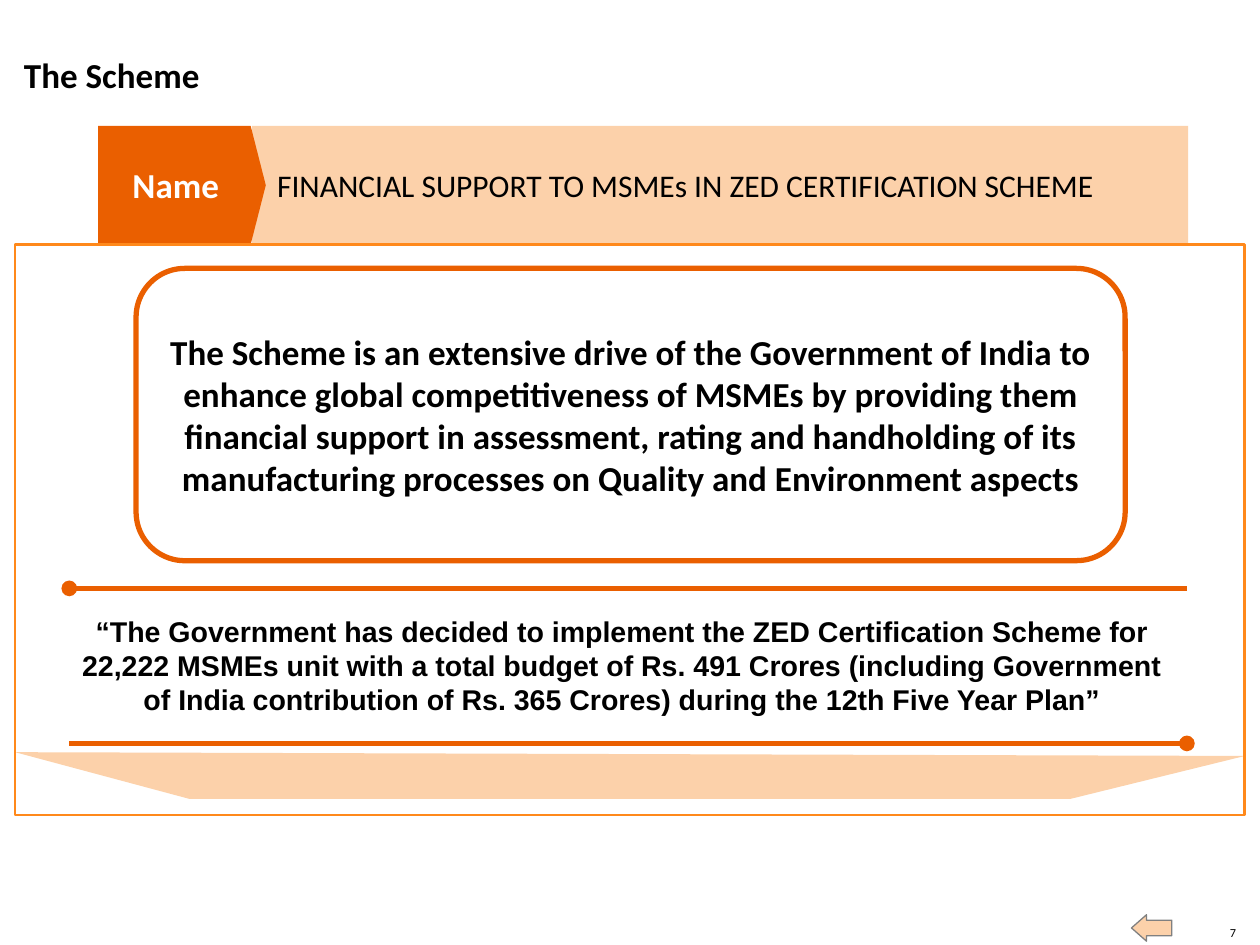
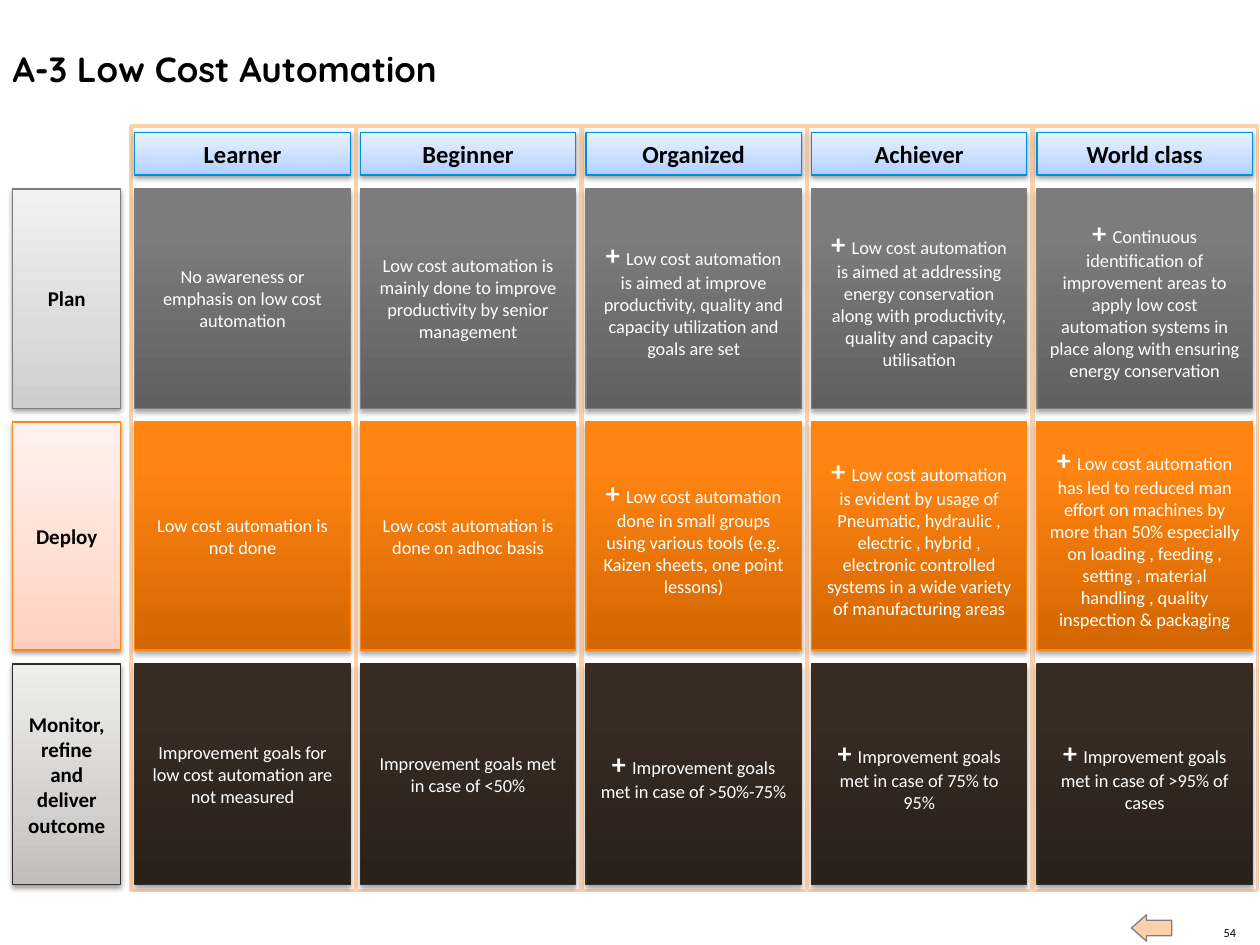
from copy import deepcopy
from dataclasses import dataclass

from lxml.etree import SubElement
from pptx import Presentation
from pptx.dml.color import RGBColor
from pptx.enum.shapes import MSO_CONNECTOR, MSO_SHAPE
from pptx.enum.text import MSO_ANCHOR, MSO_AUTO_SIZE, PP_ALIGN
from pptx.oxml.ns import qn
from pptx.util import Inches, Pt


@dataclass(frozen=True)
class Theme:
    # Colours
    black: str = "000000"
    white: str = "FFFFFF"
    peach: str = "FCD1AA"
    orange: str = "EA5F00"
    frame: str = "FF891B"
    grey: str = "808080"
    level_line: str = "008FDC"
    level_fill: tuple = ((0, "AECFFF"), (35, "C6DDFF"), (100, "E9F2FF"))
    # Fonts and sizes
    font: str = "Calibri"
    quote_font: str = "Arial"
    topic_font: str = "Quicksand"
    title: float = 20
    banner: float = 18
    quote: float = 16.3
    plus: float = 16
    level: float = 14
    stage: float = 12
    cell: float = 10.5
    number: float = 7


THEME = Theme()


@dataclass(frozen=True)
class Stage:
    name: str
    height: float
    line: str
    label_fill: tuple
    cell_fill: tuple
    cells: tuple


LEVELS = ("Learner", "Beginner", "Organized", "Achiever", "World class")

STAGES = (
    Stage("Plan", 1.74, "7D7D7D",
          ((0, "CDCDCD"), (35, "DBDBDB"), (100, "F1F1F1")),
          ((0, "606060"), (80, "7C7C7C"), (100, "7D7D7D")),
          ("No awareness or emphasis on low cost automation",
           "Low cost automation is mainly done to improve productivity by "
           "senior management",
           "+ Low cost automation is aimed at improve productivity, quality "
           "and capacity utilization and goals are set",
           "+ Low cost automation is aimed at addressing energy conservation "
           "along with productivity, quality and capacity utilisation",
           "+ Continuous identification of improvement areas to apply low cost "
           "automation systems in place along with ensuring energy conservation")),
    Stage("Deploy", 1.81, "FF8615",
          ((0, "FFCFBD"), (35, "FFDDD1"), (100, "FFF2EE")),
          ((0, "D26600"), (80, "FF8412"), (100, "FF8514")),
          ("Low cost automation is not done",
           "Low cost automation is done on adhoc basis",
           "+ Low cost automation done in small groups using various tools "
           "(e.g. Kaizen sheets, one point lessons)",
           "+ Low cost automation is evident by usage of Pneumatic, hydraulic , "
           "electric , hybrid , electronic controlled systems in a wide variety "
           "of manufacturing areas",
           "+ Low cost automation has led to reduced man effort on machines by "
           "more than 50% especially on loading , feeding , setting , material "
           "handling , quality inspection & packaging")),
    Stage("Monitor, refine and deliver outcome", 1.75, "352C25",
          ((0, "C0BEBC"), (35, "D3D1D0"), (100, "EEEEED")),
          ((0, "2A211B"), (80, "372B22"), (100, "372B22")),
          ("Improvement goals for low cost automation are not measured",
           "Improvement goals met in case of <50%",
           "+ Improvement goals met in case of >50%-75%",
           "+ Improvement goals met in case of 75% to 95%",
           "+ Improvement goals met in case of >95% of cases")),
)


def rgb(value):
    return RGBColor.from_string(value)


def style_run(run, size, color, bold=False, font=THEME.font):
    run.font.name = font
    run.font.size = Pt(size)
    run.font.bold = bold
    run.font.color.rgb = rgb(color)


def write(shape, text, size, color=THEME.black, bold=False, font=THEME.font,
          align=PP_ALIGN.CENTER, anchor=MSO_ANCHOR.MIDDLE, margins=None, wrap=True):
    """Put one paragraph in a shape; a leading plus sign is set larger."""
    frame = shape.text_frame
    frame.auto_size = MSO_AUTO_SIZE.NONE
    frame.word_wrap = wrap
    frame.vertical_anchor = anchor
    if margins:
        (frame.margin_left, frame.margin_top,
         frame.margin_right, frame.margin_bottom) = map(Inches, margins)
    paragraph = frame.paragraphs[0]
    paragraph.alignment = align
    if text.startswith("+ "):
        plus = paragraph.add_run()
        plus.text = "+ "
        style_run(plus, THEME.plus, color, True)
        text = text[2:]
    body = paragraph.add_run()
    body.text = text
    style_run(body, size, color, bold, font)


def paint(shape, fill=None, line=None, width=0.75):
    """Set a plain or gradient fill and an outline, without a shadow."""
    shape.shadow.inherit = False
    if fill is None:
        shape.fill.background()
    elif isinstance(fill, str):
        shape.fill.solid()
        shape.fill.fore_color.rgb = rgb(fill)
    else:
        shape.fill.gradient()
        shape.fill.gradient_angle = 90
        stop_list = next(shape._element.spPr.iter(qn("a:gsLst")))
        while len(stop_list) < len(fill):
            stop_list.append(deepcopy(stop_list[0]))
        for stop, (position, color) in zip(shape.fill.gradient_stops, fill):
            stop.position = position / 100
            stop.color.rgb = rgb(color)
    if line:
        shape.line.color.rgb = rgb(line)
        shape.line.width = Pt(width)
    else:
        shape.line.fill.background()


def add_box(slide, at, fill=None, line=None, width=0.75, kind=MSO_SHAPE.RECTANGLE):
    box = slide.shapes.add_shape(kind, *map(Inches, at))
    paint(box, fill, line, width)
    return box


def add_text(slide, at, text, size, **style):
    write(slide.shapes.add_textbox(*map(Inches, at)), text, size, **style)


def add_outline(slide, points, fill):
    start, *rest = [(Inches(x), Inches(y)) for x, y in points]
    builder = slide.shapes.build_freeform(*start)
    builder.add_line_segments(rest, close=True)
    paint(builder.convert_to_shape(), fill)


def add_rule(slide, start_x, end_x, y):
    """Thick horizontal line with a dot at its start."""
    rule = slide.shapes.add_connector(
        MSO_CONNECTOR.STRAIGHT, *map(Inches, (start_x, y, end_x, y)))
    rule.line.color.rgb = rgb(THEME.orange)
    rule.line.width = Pt(3)
    properties = rule._element.spPr
    SubElement(properties.find(qn("a:ln")), qn("a:headEnd"), type="oval")
    SubElement(properties, qn("a:effectLst"))


def add_tile(slide, at, fill, line, text, size, opacity, distance, **style):
    """Gradient rectangle with text and a soft shadow below it."""
    tile = add_box(slide, at, fill, line)
    shadow = SubElement(
        tile._element.spPr.find(qn("a:effectLst")), qn("a:outerShdw"),
        blurRad=str(Pt(3.1)), dist=str(Pt(distance)), dir="5400000", rotWithShape="0")
    color = SubElement(shadow, qn("a:srgbClr"), val=THEME.black)
    SubElement(color, qn("a:alpha"), val=str(opacity * 1000))
    write(tile, text, size, **style)


def add_label(slide, at, fill, line, text, size):
    add_tile(slide, at, fill, line, text, size, 38, 1.6, bold=True)


def add_slide(deck, number, title, at, **title_style):
    """Title-only slide with the shared footer: back arrow and number."""
    slide = deck.slides.add_slide(deck.slide_layouts[5])
    heading = slide.shapes.title
    heading.left, heading.top, heading.width, heading.height = map(Inches, at)
    write(heading, title, THEME.title, bold=True, align=PP_ALIGN.LEFT, **title_style)
    back = add_box(slide, (8.98, 7.26, 0.32, 0.21), THEME.peach, THEME.grey,
                   kind=MSO_SHAPE.LEFT_ARROW)
    back.adjustments[0], back.adjustments[1] = 0.59, 0.57
    add_text(slide, (9.69, 7.34, 0.12, 0.12), number, THEME.number,
             align=PP_ALIGN.RIGHT, anchor=MSO_ANCHOR.BOTTOM,
             margins=(0, 0, 0, 0), wrap=False)
    return slide


def build_scheme(deck):
    slide = add_slide(deck, "7", "The Scheme", (0.19, 0.42, 7.65, 0.34),
                      anchor=MSO_ANCHOR.BOTTOM, margins=(0, 0, 0, 0))
    # Wedge at the foot of the frame
    add_outline(slide, ((0.12, 5.97), (1.5, 6.34), (8.5, 6.34), (9.88, 6)), THEME.peach)

    # Name banner
    banner = add_box(slide, (2, 1, 7.43, 0.94), THEME.peach)
    write(banner, "FINANCIAL SUPPORT TO MSMEs IN ZED CERTIFICATION SCHEME",
          THEME.banner, align=PP_ALIGN.LEFT, margins=(0.2, 0.08, 0.08, 0.08))
    add_outline(slide, ((0.78, 1), (1.99, 1), (2.11, 1.47), (1.99, 1.94), (0.78, 1.94)),
                THEME.orange)
    add_text(slide, (0.82, 1.06, 1.11, 0.81), "Name", THEME.title,
             color=THEME.white, bold=True, margins=(0.04, 0, 0, 0))

    # Frame and statement
    add_box(slide, (0.12, 1.94, 9.76, 4.53), line=THEME.frame, width=1.5)
    statement = add_box(slide, (1.08, 2.13, 7.85, 2.32), THEME.white, THEME.orange, 3,
                        MSO_SHAPE.ROUNDED_RECTANGLE)
    write(statement,
          "The Scheme is an extensive drive of the Government of India to enhance "
          "global competitiveness of MSMEs by providing them financial support in "
          "assessment, rating and handholding of its manufacturing processes on "
          "Quality and Environment aspects",
          THEME.title, bold=True, margins=(0.08,) * 4)

    # Quote between two rules
    add_text(slide, (0.55, 4.82, 8.78, 0.92),
             "“The Government has decided to implement the ZED Certification Scheme "
             "for 22,222 MSMEs unit with a total budget of Rs. 491 Crores (including "
             "Government of India contribution of Rs. 365 Crores) during the 12th "
             "Five Year Plan”",
             THEME.quote, bold=True, font=THEME.quote_font, anchor=MSO_ANCHOR.TOP)
    add_rule(slide, 0.55, 9.42, 4.67)
    add_rule(slide, 9.42, 0.55, 5.9)


def build_automation(deck):
    slide = add_slide(deck, "54", "A-3 Low Cost Automation", (0, 0.33, 8.6, 0.44),
                      font=THEME.topic_font, anchor=MSO_ANCHOR.TOP,
                      margins=(0.1, 0.05, 0.1, 0.05))
    pitch, tile_width, gap = 1.79, 1.71, 0.11
    columns = [1.07 + pitch * index for index in range(len(LEVELS))]

    # Column panels with level headings
    for left in columns:
        add_box(slide, (left - 0.03, 1, 1.78, 6.07), THEME.white, THEME.peach, 2)
    for left, level in zip(columns, LEVELS):
        add_label(slide, (left, 1.05, tile_width, 0.34), THEME.level_fill,
                  THEME.level_line, level, THEME.level)

    # Stage rows
    top = 1.5
    for stage in STAGES:
        add_label(slide, (0.1, top, 0.86, stage.height), stage.label_fill,
                  stage.line, stage.name, THEME.stage)
        for left, practice in zip(columns, stage.cells):
            add_tile(slide, (left, top, tile_width, stage.height), stage.cell_fill,
                     stage.line, practice, THEME.cell, 35, 1.8, color=THEME.white)
        top += stage.height + gap


def main():
    deck = Presentation()
    deck.slide_width, deck.slide_height = Inches(10), Inches(7.5)
    build_scheme(deck)
    build_automation(deck)
    deck.save("out.pptx")


if __name__ == "__main__":
    main()
